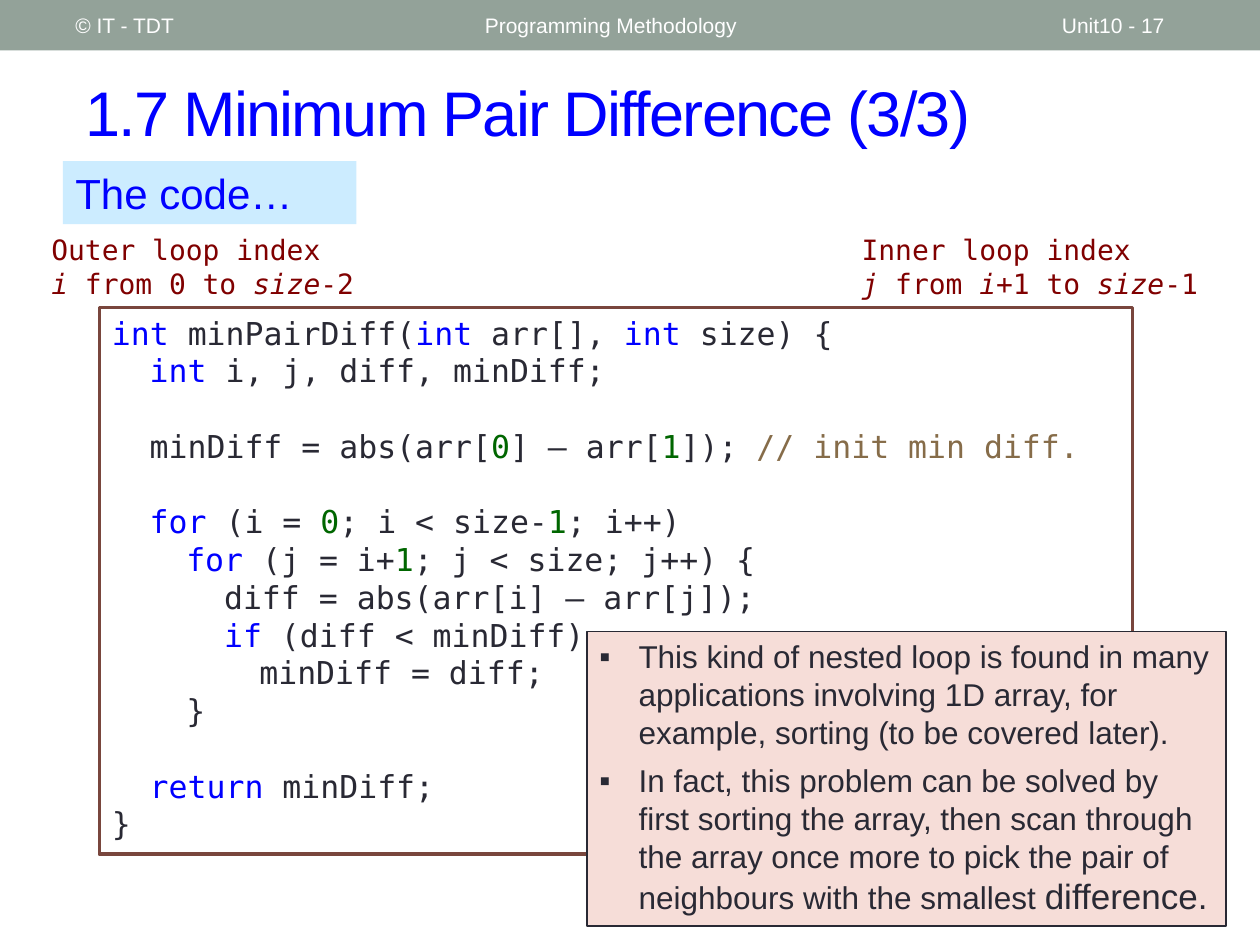
from lxml.etree import SubElement
from pptx import Presentation
from pptx.dml.color import RGBColor
from pptx.enum.shapes import MSO_SHAPE
from pptx.enum.text import MSO_ANCHOR, PP_ALIGN
from pptx.oxml.ns import qn
from pptx.util import Inches, Pt

COLORS = {
    "band": "93A299", "white": "FFFFFF", "blue": "0000FF", "maroon": "800000",
    "text": "292934", "number": "006600", "comment": "866C49",
    "code_border": "79463D", "label_fill": "CCECFF", "note_fill": "F6DDD8",
}
SANS, MONO = "Arial", "DejaVu Sans Mono"

HEADER = [
    ("© IT - TDT", 0.5, 3.17),
    ("Programming Methodology", 3.75, 4.5),
    ("Unit10 - 17", 8.33, 1.17),
]
TITLE = "1.7 Minimum Pair Difference (3/3)"
LABEL = "The code…"

LOOP_NOTES = [
    (0.31, 2.77, "Outer loop index",
     [("i", True), (" from 0 to ", False), ("size", True), ("-2", False)]),
    (6.74, 2.99, "Inner loop index",
     [("j", True), (" from ", False), ("i", True), ("+1 to ", False),
      ("size", True), ("-1", False)]),
]

CODE_BLOCKS = [
    [
        (0, [("int ", "blue"), ("minPairDiff(", "text"), ("int ", "blue"),
             ("arr[], ", "text"), ("int", "blue"), (" size) {", "text")]),
        (1, [("int ", "blue"), ("i, j, diff, minDiff;", "text")]),
    ],
    [
        (1, [("minDiff = abs(arr[", "text"), ("0", "number"), ("] – arr[", "text"),
             ("1", "number"), ("]); ", "text"), ("// init min diff.", "comment")]),
    ],
    [
        (1, [("for", "blue"), (" (i = ", "text"), ("0", "number"),
             ("; i < size-", "text"), ("1", "number"), ("; i++)", "text")]),
        (2, [("for", "blue"), (" (j = i+", "text"), ("1", "number"),
             ("; j < size; j++) {", "text")]),
        (3, [("diff = abs(arr[i] – arr[j]);", "text")]),
        (3, [("if", "blue"), (" (diff < minDiff)", "text")]),
        (4, [("minDiff = diff;", "text")]),
        (2, [("}", "text")]),
    ],
    [
        (1, [("return ", "blue"), ("minDiff;", "text")]),
        (0, [("}", "text")]),
    ],
]
CODE_TABS = [0.3, 0.59, 0.89, 1.17, 1.46, 1.77]
CODE_LINE = 21.5

REMARKS = [
    [("This kind of nested loop is found in many applications involving 1D array, "
      "for example, sorting (to be covered later).", 18)],
    [("In fact, this problem can be solved by first sorting the array, then scan "
      "through the array once more to pick the pair of neighbours with the smallest ", 18),
     ("difference.", 20)],
]


def rgb(name):
    return RGBColor.from_string(COLORS[name])


def set_font(font, name, size, color):
    font.name, font.size = name, Pt(size)
    font.color.rgb = rgb(color)


def prepare(shape, anchor):
    shape.text_frame.word_wrap = True
    shape.text_frame.vertical_anchor = anchor
    return shape


def add_text(slide, box, anchor=MSO_ANCHOR.TOP):
    return prepare(slide.shapes.add_textbox(*map(Inches, box)), anchor)


def add_box(slide, box, fill, border=None, width=0):
    shape = slide.shapes.add_shape(MSO_SHAPE.RECTANGLE, *map(Inches, box))
    shape.shadow.inherit = False
    shape.fill.solid()
    shape.fill.fore_color.rgb = rgb(fill)
    if border:
        shape.line.color.rgb = rgb(border)
        shape.line.width = Pt(width)
    else:
        shape.line.fill.background()
    return prepare(shape, MSO_ANCHOR.TOP)


def next_paragraph(frame, first):
    paragraph = frame.paragraphs[0] if first else frame.add_paragraph()
    paragraph.alignment = PP_ALIGN.LEFT
    return paragraph


def add_run(paragraph, text):
    run = paragraph.add_run()
    run.text = text
    return run


def write_line(shape, text, name, size, color):
    paragraph = next_paragraph(shape.text_frame, True)
    set_font(paragraph.font, name, size, color)
    return add_run(paragraph, text)


def add_tabs(paragraph):
    properties = paragraph._p.get_or_add_pPr()
    tabs = properties.makeelement(qn("a:tabLst"), {})
    for position in CODE_TABS:
        SubElement(tabs, qn("a:tab"), pos=str(Inches(position)), algn="l")
    properties.insert(0, tabs)


def add_bullet(paragraph):
    properties = paragraph._p.get_or_add_pPr()
    indent = Inches(0.31)
    properties.set("marL", str(indent))
    properties.set("indent", str(-indent))
    SubElement(properties, qn("a:buFont"), typeface=SANS)
    SubElement(properties, qn("a:buChar"), char="▪")


presentation = Presentation()
presentation.slide_width, presentation.slide_height = Inches(10), Inches(7.5)
slide = presentation.slides.add_slide(presentation.slide_layouts[6])

add_box(slide, (0, 0, 10, 0.4), "band")
title = add_text(slide, (0.58, 0.42, 9.17, 0.92), MSO_ANCHOR.MIDDLE)
title_run = write_line(title, TITLE, SANS, 36, "blue")
title_run.font._element.set("spc", "-100")
for text, left, width in HEADER:
    header = add_text(slide, (left, 0.02, width, 0.36), MSO_ANCHOR.MIDDLE)
    write_line(header, text, SANS, 12, "white")

for left, width, heading, parts in LOOP_NOTES:
    note = add_text(slide, (left, 1.8, width, 0.64))
    write_line(note, heading, MONO, 16, "maroon")
    paragraph = next_paragraph(note.text_frame, False)
    set_font(paragraph.font, MONO, 16, "maroon")
    for text, italic in parts:
        add_run(paragraph, text).font.italic = italic

code = add_box(slide, (0.79, 2.44, 8.2, 4.34), "white", "code_border", 2.08)
for block_index, block in enumerate(CODE_BLOCKS):
    for line_index, (depth, parts) in enumerate(block):
        paragraph = next_paragraph(code.text_frame, block_index + line_index == 0)
        if block_index and line_index == 0:
            paragraph.space_before = Pt(CODE_LINE)
        set_font(paragraph.font, MONO, 18, "text")
        add_tabs(paragraph)
        for part_index, (text, color) in enumerate(parts):
            indent = "\t" * depth if part_index == 0 else ""
            add_run(paragraph, indent + text).font.color.rgb = rgb(color)

label = add_box(slide, (0.5, 1.28, 2.33, 0.5), "label_fill")
write_line(label, LABEL, SANS, 24, "blue")

remarks = add_box(slide, (4.66, 5.01, 5.07, 2.34), "note_fill", "text", 0.75)
for index, parts in enumerate(REMARKS):
    paragraph = next_paragraph(remarks.text_frame, index == 0)
    paragraph.space_before = Pt(6)
    add_bullet(paragraph)
    set_font(paragraph.font, SANS, 18, "text")
    for text, size in parts:
        add_run(paragraph, text).font.size = Pt(size)

presentation.save("out.pptx")
